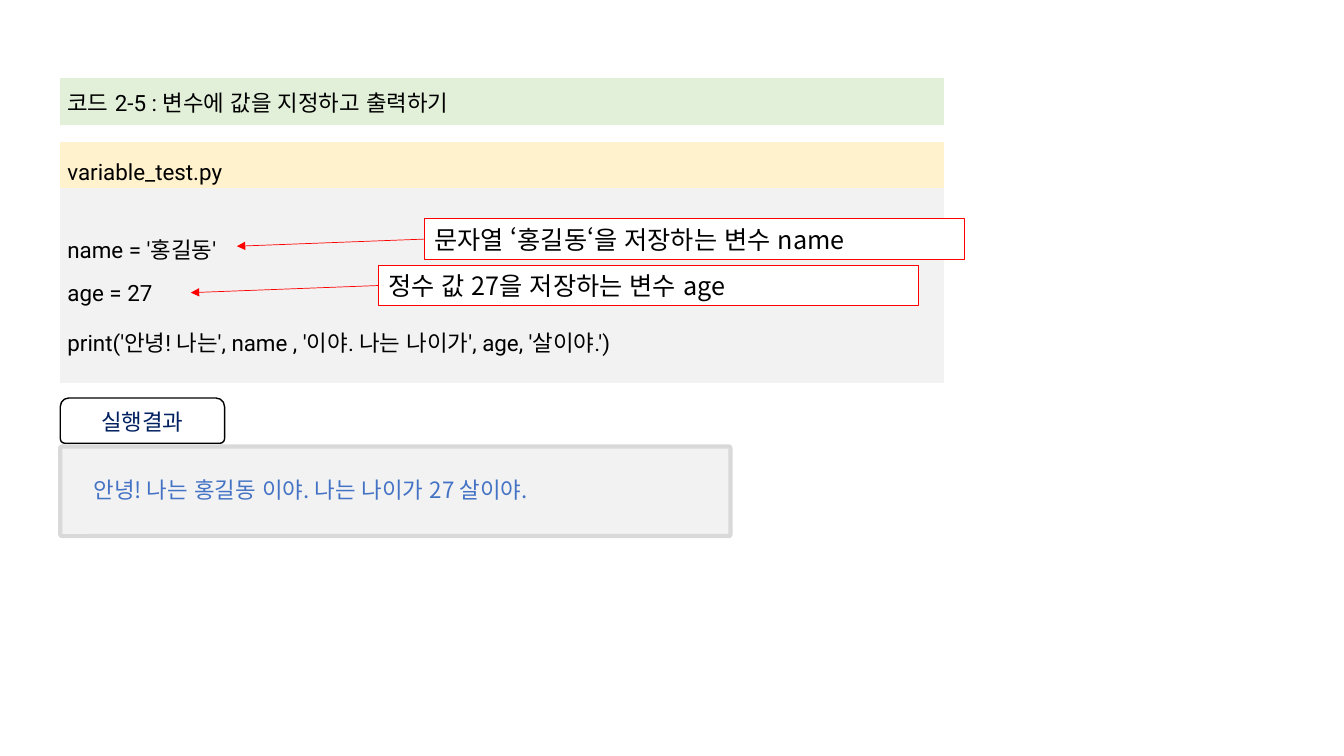
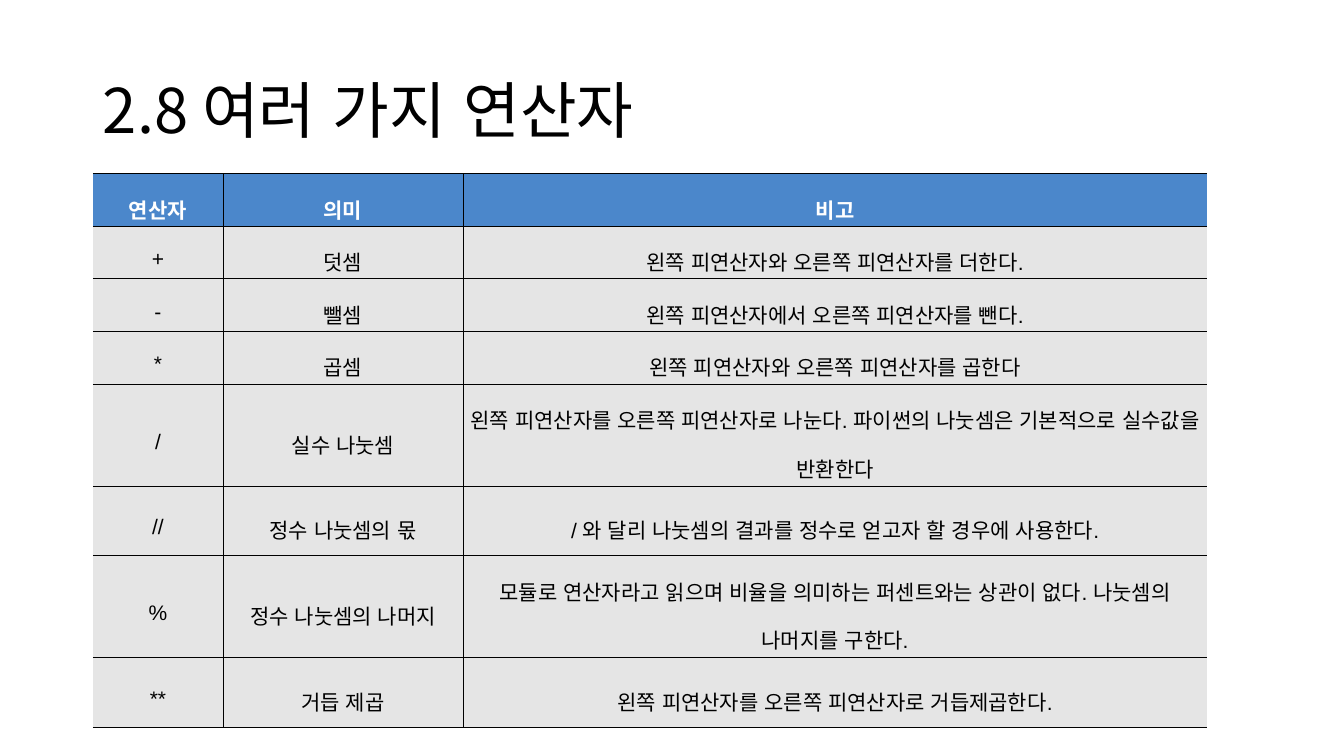
"""Build two Korean lecture slides on Python variables and operators."""
from dataclasses import dataclass
from typing import Optional

from lxml.etree import SubElement
from pptx import Presentation
from pptx.dml.color import RGBColor
from pptx.enum.dml import MSO_LINE_DASH_STYLE as Dash
from pptx.enum.lang import MSO_LANGUAGE_ID as Language
from pptx.enum.shapes import MSO_CONNECTOR as Connector
from pptx.enum.shapes import MSO_SHAPE as Preset
from pptx.enum.text import MSO_ANCHOR as Anchor
from pptx.enum.text import MSO_AUTO_SIZE as AutoSize
from pptx.enum.text import PP_ALIGN as Align
from pptx.oxml.ns import qn
from pptx.util import Cm, Pt

COLORS = {
    "black": "000000",
    "white": "FFFFFF",
    "red": "FF0000",
    "navy": "002060",
    "blue": "4472C4",
    "header": "4B87CB",
    "body": "E5E5E5",
    "green": "E2F0D9",
    "yellow": "FFF2CC",
    "gray": "F2F2F2",
    "frame": "D9D9D9",
}
KOREAN_FONT = "Noto Sans CJK KR"
BORDER_WIDTH = Pt(0.28)
CODE_LEFT = 1.52


@dataclass(frozen=True)
class TextStyle:
    size: float
    font: str = KOREAN_FONT
    color: str = "black"
    bold: bool = False
    align: Align = Align.LEFT
    spacing: Optional[float] = None


@dataclass(frozen=True)
class Box:
    left: float
    top: float
    width: float
    height: float

    def lengths(self) -> tuple:
        return Cm(self.left), Cm(self.top), Cm(self.width), Cm(self.height)


@dataclass(frozen=True)
class CodeRow:
    height: float
    lines: tuple
    fill: Optional[str]
    style: TextStyle


@dataclass(frozen=True)
class Callout:
    text: str
    left: float
    top: float


@dataclass(frozen=True)
class Operator:
    height: float
    cells: tuple


CAPTION = TextStyle(16, "Roboto")
CODE = TextStyle(16, "Roboto", align=Align.JUSTIFY, spacing=1.6)
TAB = TextStyle(16, color="navy", align=Align.CENTER)
RESULT = TextStyle(16, color="blue", spacing=1.25)
NOTE = TextStyle(18)
TITLE = TextStyle(44, spacing=0.9)
BODY_CELL = TextStyle(15, "Arial", align=Align.CENTER, spacing=1.6)
HEADER_CELL = TextStyle(15, "Arial", "white", True, Align.CENTER, 1.6)

CODE_ROWS = (
    CodeRow(1.19, ("코드 2-5 : 변수에 값을 지정하고 출력하기",), "green", CAPTION),
    CodeRow(0.43, (), None, CAPTION),
    CodeRow(1.09, ("variable_test.py",), "yellow", CODE),
    CodeRow(
        4.93,
        (
            "name = '홍길동'",
            "age = 27",
            "print('안녕! 나는', name , '이야. 나는 나이가', age, '살이야.')",
        ),
        "gray",
        CODE,
    ),
)
CALLOUTS = (
    Callout("문자열 ‘홍길동‘을 저장하는 변수 name", 10.69, 5.51),
    Callout("정수 값 27을 저장하는 변수 age", 9.53, 6.68),
)
OPERATORS = (
    Operator(1.04, ("연산자", "의미", "비고")),
    Operator(1.04, ("+", "덧셈", "왼쪽 피연산자와 오른쪽 피연산자를 더한다.")),
    Operator(1.04, ("-", "뺄셈", "왼쪽 피연산자에서 오른쪽 피연산자를 뺀다.")),
    Operator(1.04, ("*", "곱셈", "왼쪽 피연산자와 오른쪽 피연산자를 곱한다")),
    Operator(2.57, ("/", "실수 나눗셈", "왼쪽 피연산자를 오른쪽 피연산자로 나눈다. "
                    "파이썬의 나눗셈은 기본적으로 실수값을 반환한다")),
    Operator(1.75, ("//", "정수 나눗셈의 몫",
                    "/ 와 달리 나눗셈의 결과를 정수로 얻고자 할 경우에 사용한다.")),
    Operator(2.57, ("%", "정수 나눗셈의 나머지", "모듈로 연산자라고 읽으며 비율을 의미하는 "
                    "퍼센트와는 상관이 없다. 나눗셈의 나머지를 구한다.")),
    Operator(1.75, ("**", "거듭 제곱", "왼쪽 피연산자를 오른쪽 피연산자로 거듭제곱한다.")),
)


def rgb(name: str) -> RGBColor:
    return RGBColor.from_string(COLORS[name])


def write_text(frame, lines: tuple, style: TextStyle) -> None:
    for index, line in enumerate(lines):
        paragraph = frame.add_paragraph() if index else frame.paragraphs[0]
        paragraph.alignment = style.align
        if style.spacing:
            paragraph.line_spacing = style.spacing
        run = paragraph.add_run()
        run.text = line
        font = run.font
        font.size = Pt(style.size)
        font.bold = style.bold
        font.name = style.font
        font.color.rgb = rgb(style.color)
        font.language_id = Language.KOREAN
        SubElement(font._element, qn("a:ea"), typeface=KOREAN_FONT)


def add_block(shapes, preset: Preset, box: Box, fill: str, line: str, width: float):
    shape = shapes.add_shape(preset, *box.lengths())
    shape.shadow.inherit = False
    shape.fill.solid()
    shape.fill.fore_color.rgb = rgb(fill)
    shape.line.color.rgb = rgb(line)
    shape.line.width = Pt(width)
    return shape


def set_borders(cell, visible: str) -> None:
    properties = cell._tc.get_or_add_tcPr()
    for side in "LRTB":
        border = SubElement(properties, qn(f"a:ln{side}"), w=str(BORDER_WIDTH))
        if side in visible:
            fill = SubElement(border, qn("a:solidFill"))
            SubElement(fill, qn("a:srgbClr"), val=COLORS["black"])
        else:
            SubElement(border, qn("a:noFill"))


def format_cell(cell, fill: Optional[str], borders: str = "") -> None:
    cell.margin_left = cell.margin_right = Cm(0.18)
    cell.margin_top = cell.margin_bottom = Cm(0.05)
    cell.vertical_anchor = Anchor.MIDDLE
    set_borders(cell, borders)
    if fill:
        cell.fill.solid()
        cell.fill.fore_color.rgb = rgb(fill)
    else:
        cell.fill.background()


def add_plain_table(slide, left: float, top: float, widths: tuple, heights: tuple):
    box = Box(left, top, sum(widths), sum(heights))
    table = slide.shapes.add_table(len(heights), len(widths), *box.lengths()).table
    table.first_row = table.horz_banding = False
    for column, width in zip(table.columns, widths):
        column.width = Cm(width)
    for row, height in zip(table.rows, heights):
        row.height = Cm(height)
    return table


def add_code_table(slide) -> None:
    heights = tuple(row.height for row in CODE_ROWS)
    table = add_plain_table(slide, CODE_LEFT, 1.96, (22.28,), heights)
    for index, row in enumerate(CODE_ROWS):
        cell = table.cell(index, 0)
        format_cell(cell, row.fill)
        write_text(cell.text_frame, row.lines, row.style)
        if not row.lines:
            SubElement(cell.text_frame.paragraphs[0]._p, qn("a:endParaRPr"), sz="500")


def add_result(slide) -> None:
    shapes = slide.shapes.add_group_shape().shapes
    panel = add_block(shapes, Preset.ROUNDED_RECTANGLE,
                      Box(CODE_LEFT, 11.25, 16.89, 2.26), "gray", "frame", 3)
    panel.adjustments[0] = 0.02
    tab = add_block(shapes, Preset.ROUND_2_SAME_RECTANGLE,
                    Box(CODE_LEFT, 10.03, 4.14, 1.14), "white", "black", 1)
    tab.adjustments[0], tab.adjustments[1] = 0.19, 0.1
    tab.text_frame.vertical_anchor = Anchor.MIDDLE
    write_text(tab.text_frame, ("실행결과",), TAB)
    output = shapes.add_textbox(*Box(2.11, 11.71, 15.39, 0.51).lengths())
    output.text_frame.word_wrap = True
    write_text(output.text_frame, ("안녕! 나는 홍길동 이야. 나는 나이가 27 살이야.",), RESULT)


def add_callout(slide, callout: Callout) -> None:
    box = Box(callout.left, callout.top, 13.61, 1.03)
    note = add_block(slide.shapes, Preset.RECTANGLE, box, "white", "red", 0.75)
    note.text_frame.word_wrap = True
    note.text_frame.vertical_anchor = Anchor.MIDDLE
    write_text(note.text_frame, (callout.text,), NOTE)
    middle = box.top + box.height / 2
    arrow = slide.shapes.add_connector(
        Connector.STRAIGHT, Cm(box.left), Cm(middle), Cm(box.left - 4.72), Cm(middle + 0.18)
    )
    arrow.begin_connect(note, 1)
    arrow.line.color.rgb = rgb("red")
    arrow.line.width = Pt(0.5)
    arrow.line.dash_style = Dash.SOLID
    SubElement(arrow.line._get_or_add_ln(), qn("a:tailEnd"), type="triangle")
    SubElement(arrow._element.spPr, qn("a:effectLst"))


def add_title(slide, text: str) -> None:
    title = slide.shapes.title
    title.left, title.top, title.width, title.height = Box(2.34, 1.02, 29.21, 3.68).lengths()
    title.text_frame.auto_size = AutoSize.NONE
    title.text_frame.vertical_anchor = Anchor.MIDDLE
    write_text(title.text_frame, (text,), TITLE)


def add_operator_table(slide) -> None:
    heights = tuple(operator.height for operator in OPERATORS)
    table = add_plain_table(slide, 2.34, 4.37, (3.28, 6.05, 18.75), heights)
    column_borders = ("RTB", "LRTB", "LTB")
    for row, operator in enumerate(OPERATORS):
        fill, style = ("body", BODY_CELL) if row else ("header", HEADER_CELL)
        for column, text in enumerate(operator.cells):
            cell = table.cell(row, column)
            format_cell(cell, fill, column_borders[column])
            write_text(cell.text_frame, (text,), style)


def main() -> None:
    presentation = Presentation()
    presentation.slide_width, presentation.slide_height = Cm(33.87), Cm(19.05)
    title_only, blank = presentation.slide_layouts[5], presentation.slide_layouts[6]

    code_slide = presentation.slides.add_slide(blank)
    add_code_table(code_slide)
    add_result(code_slide)
    for callout in CALLOUTS:
        add_callout(code_slide, callout)

    operator_slide = presentation.slides.add_slide(title_only)
    add_title(operator_slide, "2.8 여러 가지 연산자")
    add_operator_table(operator_slide)

    presentation.save("out.pptx")


if __name__ == "__main__":
    main()
